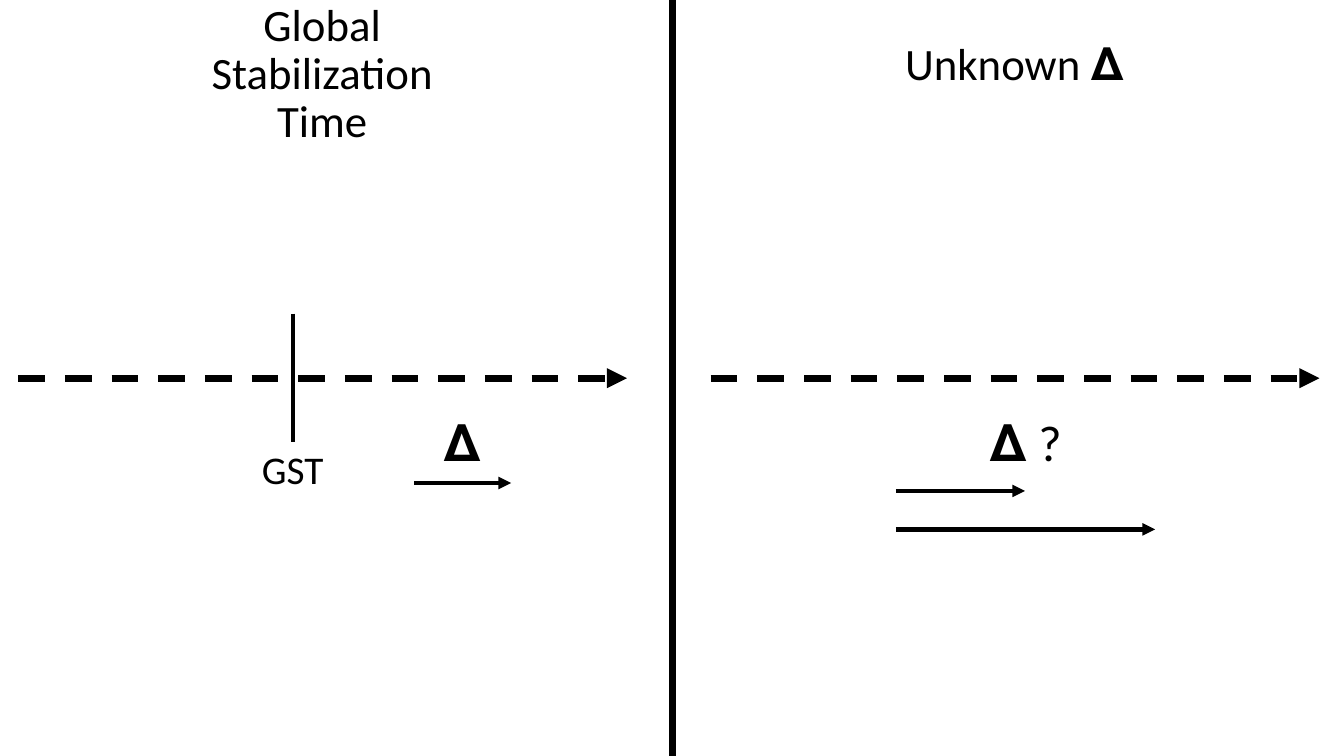
from lxml.etree import SubElement
from pptx import Presentation
from pptx.dml.color import RGBColor
from pptx.enum.dml import MSO_LINE
from pptx.enum.shapes import MSO_CONNECTOR
from pptx.enum.text import MSO_ANCHOR, MSO_AUTO_SIZE, PP_ALIGN
from pptx.oxml.ns import qn
from pptx.util import Cm, Pt

INK = "000000"
TIMELINE_Y = 9.53


def draw_line(start, end, weight, arrow=False, dashed=False):
    """Draw a line between two points in cm; an arrow points at the end."""
    line = page.shapes.add_connector(
        MSO_CONNECTOR.STRAIGHT, *(Cm(value) for value in (*start, *end)))
    line.line.color.rgb = RGBColor.from_string(INK)
    line.line.width = Pt(weight)
    if dashed:
        line.line.dash_style = MSO_LINE.DASH
    if arrow:
        SubElement(line.line._get_or_add_ln(), qn("a:tailEnd"), type="triangle")
    SubElement(line._element.spPr, qn("a:effectLst"))


def write_text(box, text, size):
    frame = box.text_frame
    frame.word_wrap = True
    frame.auto_size = MSO_AUTO_SIZE.NONE
    frame.vertical_anchor = MSO_ANCHOR.MIDDLE
    para = frame.paragraphs[0]
    para.text = text
    para.alignment = PP_ALIGN.CENTER
    para.line_spacing = 0.9
    para.space_before = Pt(0)
    para.font.name = "Calibri"
    para.font.size = Pt(size)
    para.font.bold = False
    para.font.color.rgb = RGBColor.from_string(INK)


deck = Presentation()
deck.slide_width, deck.slide_height = Cm(33.87), Cm(19.05)
page = deck.slides.add_slide(deck.slide_layouts.get_by_name("Comparison"))

# Headings of the two halves
headings = {
    1: ("Global Stabilization Time", 4.22, 0.05),
    3: ("Unknown 𝚫", 21.67, -0.18),
}
for placeholder in list(page.placeholders):
    index = placeholder.placeholder_format.idx
    if index not in headings:
        placeholder._element.getparent().remove(placeholder._element)
        continue
    text, left, top = headings[index]
    placeholder.left, placeholder.top = Cm(left), Cm(top)
    placeholder.width, placeholder.height = Cm(7.8), Cm(3.68)
    write_text(placeholder, text, 32)

# Divider, timelines and the stabilization mark
draw_line((16.94, -0.38), (16.94, 19.43), 4.75)
for left in (0.46, 17.91):
    draw_line((left, TIMELINE_Y), (left + 15.34, TIMELINE_Y), 4.75,
              arrow=True, dashed=True)
draw_line((7.39, 7.9), (7.39, 11.15), 2.75)

# Delay arrows
for left, right, y in ((10.44, 12.88, 12.17),
                       (22.58, 25.83, 12.37),
                       (22.58, 29.11, 13.34)):
    draw_line((left, y), (right, y), 3, arrow=True)

# Labels under the timelines
for text, left, top, size in (("GST", 5.89, 10.74, 28),
                              ("𝚫", 10.16, 10.08, 36),
                              ("𝚫 ?", 24.36, 10.08, 36)):
    label = page.shapes.add_textbox(Cm(left), Cm(top), Cm(2.97), Cm(2.29))
    write_text(label, text, size)

deck.save("out.pptx")
